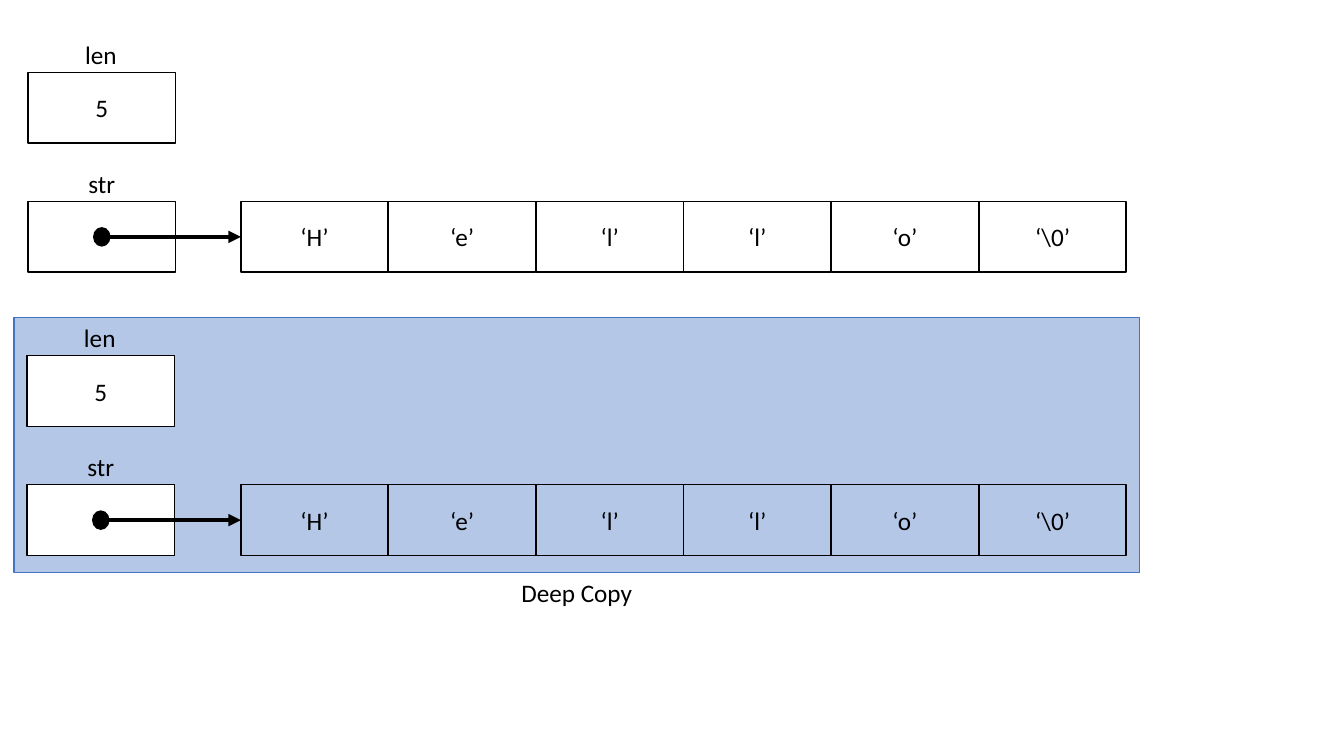
from lxml import etree
from pptx import Presentation
from pptx.dml.color import RGBColor
from pptx.enum.shapes import MSO_CONNECTOR, MSO_SHAPE
from pptx.enum.text import MSO_ANCHOR, MSO_AUTO_SIZE, PP_ALIGN
from pptx.oxml.ns import qn
from pptx.util import Inches, Pt

RECT, OVAL = MSO_SHAPE.RECTANGLE, MSO_SHAPE.OVAL
STRAIGHT = MSO_CONNECTOR.STRAIGHT
MIDDLE, TOP = MSO_ANCHOR.MIDDLE, MSO_ANCHOR.TOP
CENTER = PP_ALIGN.CENTER
GROW = MSO_AUTO_SIZE.SHAPE_TO_FIT_TEXT

# Content
CHARS = ["‘H’", "‘e’", "‘l’", "‘l’", "‘o’", "‘\\0’"]
LENGTH = "5"
CAPTION = "Deep Copy"
STRINGS = [  # left and top of the len box, fill of the variable boxes
    {"left": 0.28, "top": 0.72, "fill": None},
    {"left": 0.27, "top": 3.53, "fill": "FFFFFF"},
]

# Layout in inches
BOX_W, BOX_H = 1.46, 0.7
LABEL_H = 0.38
STR_DROP = 1.28  # from the len box to the str box
ARRAY_LEFT, CELL_STEP = 2.39, 1.464
DOT_W, DOT_H = 0.16, 0.18
PANEL = (0.14, 3.15, 11.16, 2.53)
BLACK, BLUE, PALE_BLUE = "000000", "4472C4", "B4C7E7"
FONT = {"name": "Calibri", "size": Pt(18)}

prs = Presentation()
prs.slide_width, prs.slide_height = Inches(13.33), Inches(7.5)
s = prs.slides.add_slide(prs.slide_layouts[6])


def rgb(color):
    return RGBColor.from_string(color)


def write(sp, text, anchor):
    tf = sp.text_frame
    tf.word_wrap = True
    tf.vertical_anchor = anchor
    p = tf.paragraphs[0]
    p.alignment = CENTER
    r = p.add_run()
    r.text = text
    for name, value in FONT.items():
        setattr(r.font, name, value)
    r.font.color.rgb = rgb(BLACK)


def add_box(x, y, w=BOX_W, h=BOX_H, text="", fill=None, line=BLACK, kind=RECT):
    sp = s.shapes.add_shape(kind, *map(Inches, (x, y, w, h)))
    sp.shadow.inherit = False
    if fill:
        sp.fill.solid()
        sp.fill.fore_color.rgb = rgb(fill)
    else:
        sp.fill.background()
    sp.line.color.rgb = rgb(line)
    sp.line.width = Pt(1)
    if text:
        write(sp, text, MIDDLE)


def add_label(text, x, y, w=BOX_W, h=LABEL_H):
    sp = s.shapes.add_textbox(*map(Inches, (x, y, w, h)))
    write(sp, text, TOP)
    sp.text_frame.auto_size = GROW


def add_arrow(x1, x2, y):
    arrow = s.shapes.add_connector(STRAIGHT, *map(Inches, (x1, y, x2, y)))
    arrow.line.color.rgb = rgb(BLACK)
    arrow.line.width = Pt(3)
    etree.SubElement(arrow.line._get_or_add_ln(), qn("a:tailEnd"), type="triangle")
    etree.SubElement(arrow._element.spPr, qn("a:effectLst"))


def add_string(left, top, fill):
    # Length variable
    add_box(left, top, text=LENGTH, fill=fill)
    add_label("len", left - 0.01, top - LABEL_H)

    # Pointer variable
    str_top = top + STR_DROP
    middle_x, middle_y = left + BOX_W / 2, str_top + BOX_H / 2
    add_box(left, str_top, fill=fill)
    add_label("str", left, str_top - LABEL_H)
    add_box(middle_x - DOT_W / 2, middle_y - DOT_H / 2, DOT_W, DOT_H,
            fill=BLACK, kind=OVAL)
    add_arrow(middle_x + DOT_W / 2, ARRAY_LEFT, middle_y)

    # Character array
    for i, char in enumerate(CHARS):
        add_box(ARRAY_LEFT + i * CELL_STEP, str_top, text=char)


# Panel behind the second string, with its caption
panel_left, panel_top, panel_w, panel_h = PANEL
add_box(*PANEL, fill=PALE_BLUE, line=BLUE)
add_label(CAPTION, panel_left, panel_top + panel_h, panel_w, 0.4)

for string in STRINGS:
    add_string(**string)

prs.save("out.pptx")
